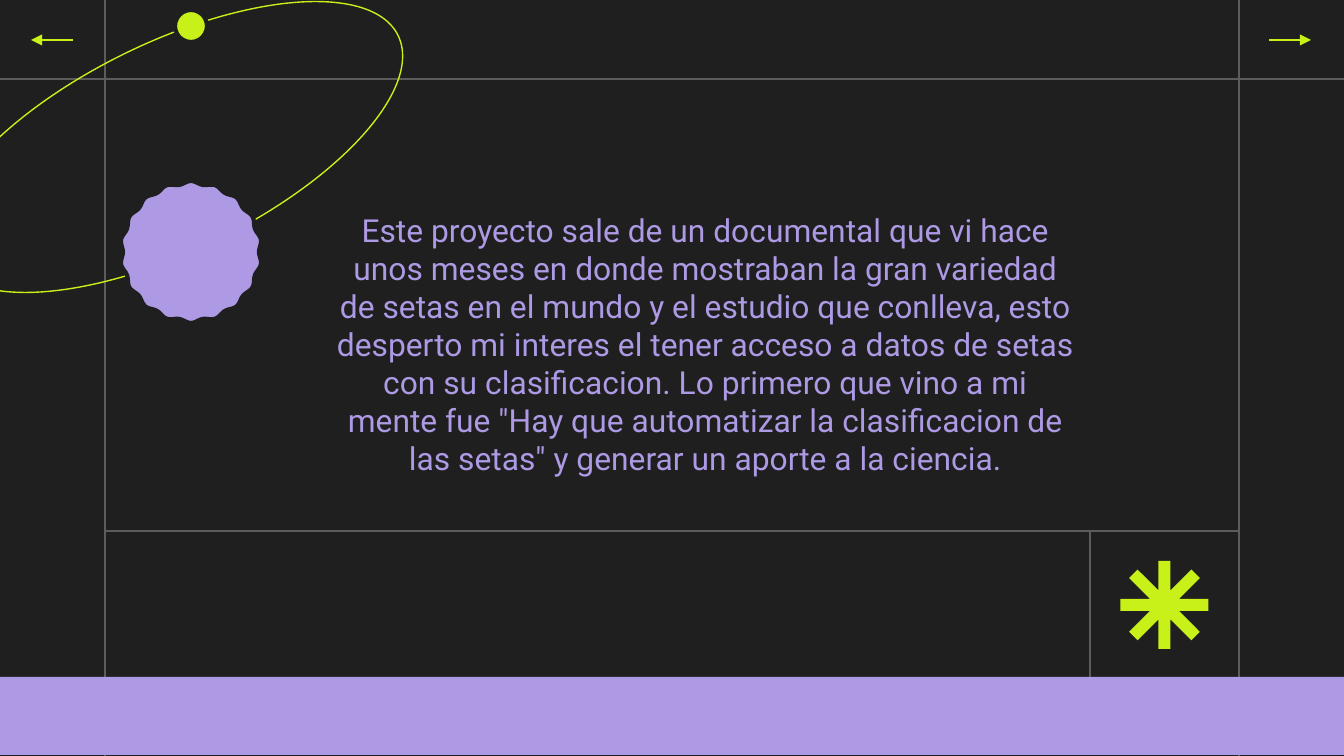
"""Build the dark project-origin slide with its orbit, badge and asterisk."""
from math import cos, pi, radians, sin

from lxml import etree
from pptx import Presentation
from pptx import util as u
from pptx.dml.color import RGBColor
from pptx.enum import shapes, text
from pptx.oxml import ns

PX = 914400 / 134.4
INK = RGBColor(0x1F, 0x1F, 0x1F)
GRID = RGBColor(0x5C, 0x5C, 0x5C)
LILAC = RGBColor(0xAD, 0x99, 0xE4)
LIME = RGBColor(0xC8, 0xF1, 0x19)


def px(*lengths):
    return [round(length * PX) for length in lengths]


def paint(shape, fill=None, line=None, width=0.75):
    shape.shadow.inherit = False
    if fill is None:
        shape.fill.background()
    else:
        shape.fill.solid()
        shape.fill.fore_color.rgb = fill
    if line is None:
        shape.line.fill.background()
    else:
        shape.line.color.rgb = line
        shape.line.width = u.Pt(width)


deck = Presentation()
deck.slide_width, deck.slide_height = px(1344, 756)
slide = deck.slides.add_slide(deck.slide_layouts[6])
slide.background.fill.solid()
slide.background.fill.fore_color.rgb = INK
parts = slide.shapes

rules = [
    (105, -1, 105, 756, GRID),
    (1239, 0, 1239, 756, GRID),
    (1344, 79, 0, 79, GRID),
    (1238, 531, 106, 531, GRID),
    (1090, 679, 1090, 531, GRID),
    (1269, 40, 1311, 40, LIME),
    (73, 40, 31, 40, LIME),
]
for *ends, color in rules:
    rule = parts.add_connector(shapes.MSO_CONNECTOR.STRAIGHT, *px(*ends))
    rule.line.color.rgb = color
    rule.line.width = u.Pt(0.75)
    properties = rule._element.spPr
    if color == LIME:
        etree.SubElement(properties.get_or_add_ln(), ns.qn("a:tailEnd"), type="triangle")
    etree.SubElement(properties, ns.qn("a:effectLst"))

band = parts.add_shape(shapes.MSO_SHAPE.RECTANGLE, *px(0, 677, 1345, 78))
paint(band, LILAC)

story = parts.add_textbox(*px(322, 197, 767, 324)).text_frame
story.word_wrap = True
story.margin_left = story.margin_right = story.margin_top = story.margin_bottom = u.Inches(0.1)
statement = story.paragraphs[0]
statement.text = (
    "Este proyecto sale de un documental que vi hace unos meses en donde mostraban "
    "la gran variedad de setas en el mundo y el estudio que conlleva, esto desperto "
    "mi interes el tener acceso a datos de setas con su clasificacion. Lo primero que "
    'vino a mi mente fue "Hay que automatizar la clasificacion de las setas" y generar '
    "un aporte a la ciencia."
)
statement.alignment = text.PP_ALIGN.CENTER
statement.font.name = "Roboto"
statement.font.size = u.Pt(17)
statement.font.color.rgb = LILAC

orbit = parts.add_shape(shapes.MSO_SHAPE.OVAL, *px(-83, 43, 507, 208))
orbit.rotation = 333.9
paint(orbit, line=LIME)
moon = parts.add_shape(shapes.MSO_SHAPE.OVAL, *px(175, 10, 32, 32))
paint(moon, LIME, INK, 2.25)

reach, half_arm = 44, 6
notch = half_arm / sin(pi / 8)
asterisk_edge = []
for arm in range(8):
    turn = arm * pi / 4
    for along, across in [
        (reach, -half_arm),
        (reach, half_arm),
        (notch * cos(pi / 8), half_arm),
    ]:
        asterisk_edge.append(px(
            1164.5 + along * cos(turn) - across * sin(turn),
            605 + along * sin(turn) + across * cos(turn),
        ))

bumps = 18
badge_edge = []
for degree in range(0, 360, 2):
    angle = radians(degree)
    radius = 69.5 + 1.5 * cos(bumps * angle)
    badge_edge.append(px(191 + radius * sin(angle), 252 - radius * cos(angle)))

for edge, fill, line in [(asterisk_edge, LIME, None), (badge_edge, LILAC, INK)]:
    outline = parts.build_freeform(*edge[0])
    outline.add_line_segments(edge[1:], close=True)
    paint(outline.convert_to_shape(), fill, line, 2.25)

deck.save("out.pptx")
